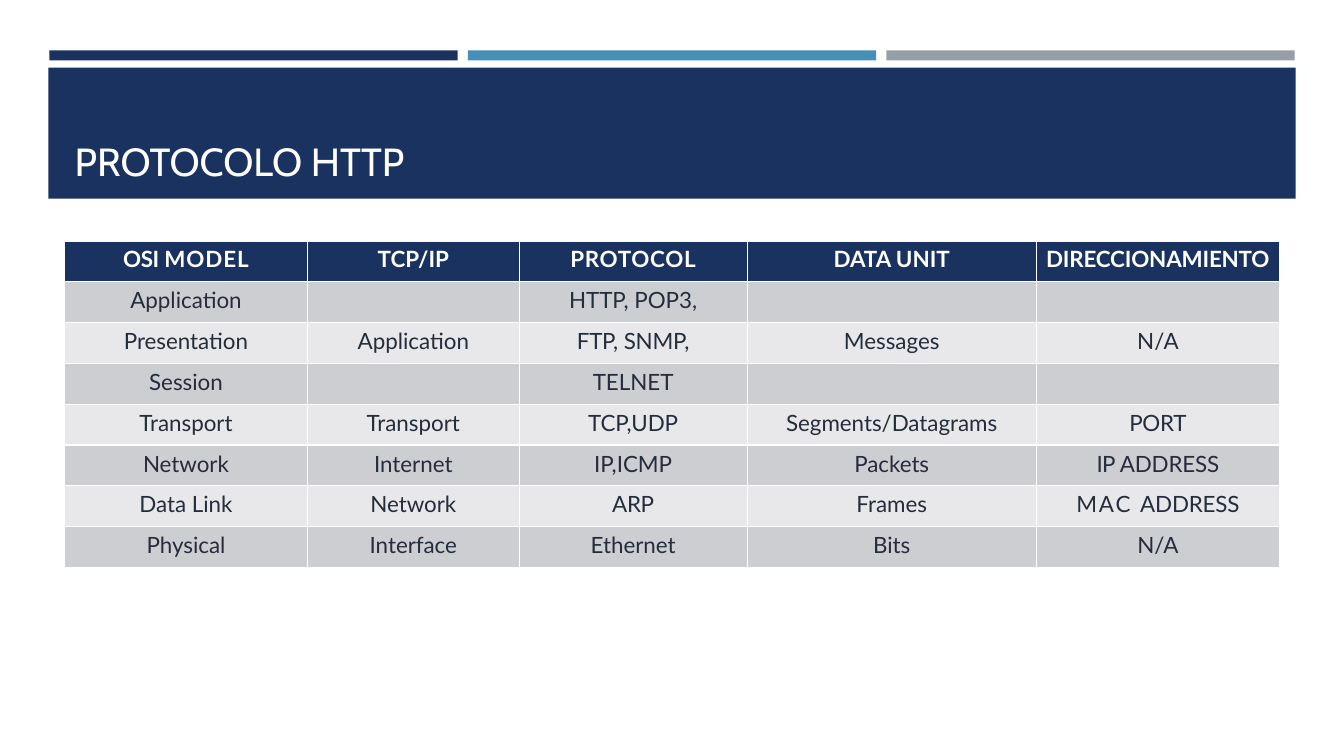
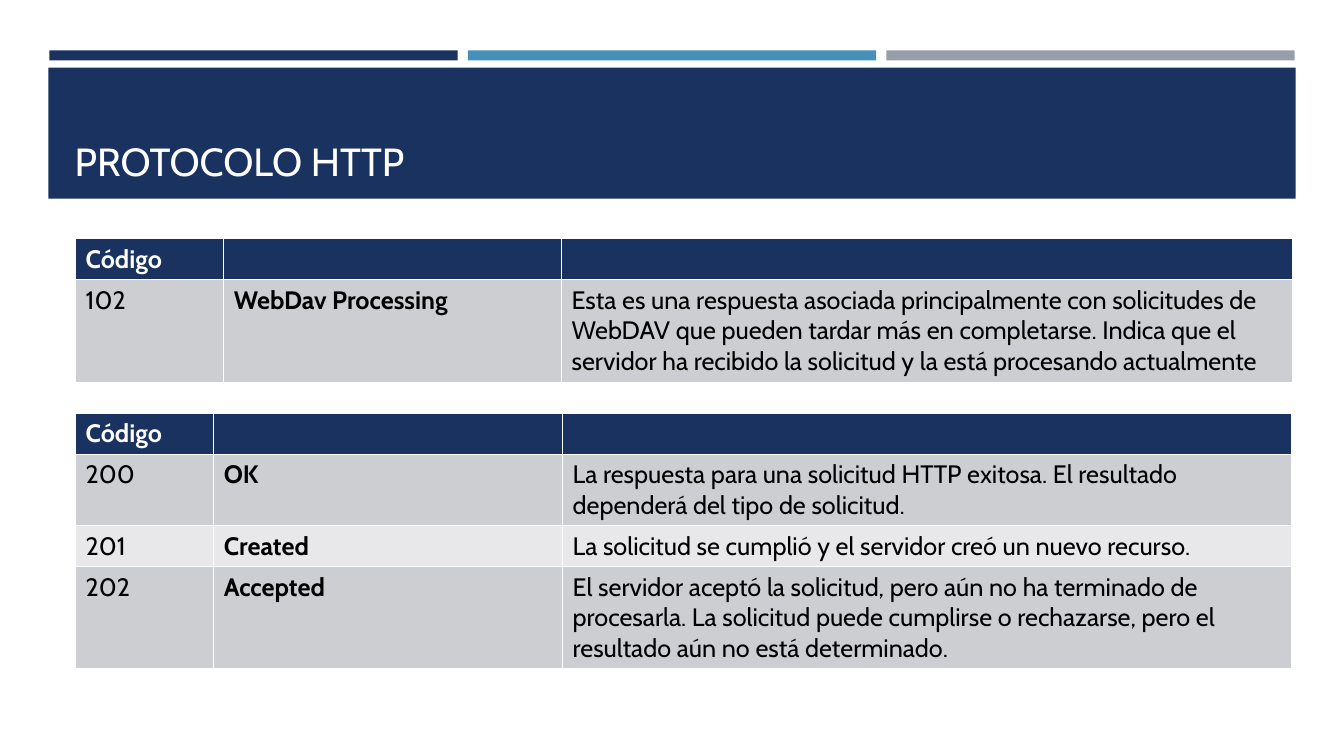
from pptx import Presentation
from pptx import util as u
from pptx.dml.color import RGBColor
from pptx.enum import shapes, text

NAVY, BLUE, GRAY = "1A3260", "4590B8", "969FA7"
DARK_ROW, LIGHT_ROW = "CDCED2", "E8E8EA"
WHITE, BLACK, SLATE = "FFFFFF", "000000", "232D3C"


def color(value):
    return RGBColor.from_string(value)


def style_font(font, name, size, value, bold=False):
    font.name = name
    font.size = u.Pt(size)
    font.bold = bold
    font.color.rgb = color(value)


class Deck:
    def __init__(self):
        self.presentation = Presentation()
        self.presentation.slide_width = u.Inches(13.33)
        self.presentation.slide_height = u.Inches(7.5)
        self.slide = None

    def band(self, left, top, width, height, fill):
        shape = self.slide.shapes.add_shape(
            shapes.MSO_SHAPE.RECTANGLE, *map(u.Inches, (left, top, width, height)))
        shape.fill.solid()
        shape.fill.fore_color.rgb = color(fill)
        shape.line.fill.background()
        shape.shadow.inherit = False

    def add_slide(self, heading):
        self.slide = self.presentation.slides.add_slide(self.presentation.slide_layouts[5])
        for index, fill in enumerate((NAVY, BLUE, GRAY)):
            self.band(0.49 + 4.15 * index, 0.5, 4.05, 0.1, fill)
        self.band(0.48, 0.67, 12.37, 1.3, NAVY)
        self.title(heading)

    def title(self, heading):
        title = self.slide.shapes.title
        title.left, title.top, title.width, title.height = map(
            u.Inches, (0.64, 0.77, 12.06, 1.11))
        self.slide.shapes._spTree.append(title._element)
        title.text_frame.text = heading
        title.text_frame.vertical_anchor = text.MSO_ANCHOR.BOTTOM
        paragraph = title.text_frame.paragraphs[0]
        paragraph.alignment = text.PP_ALIGN.LEFT
        style_font(paragraph.font, "Cabin", 28, WHITE)

    def table(self, left, top, widths, heights, rows, format_cell):
        frame = self.slide.shapes.add_table(
            len(rows), len(widths), *map(u.Inches, (left, top, sum(widths), sum(heights))))
        table = frame.table
        for column, width in zip(table.columns, widths):
            column.width = u.Inches(width)
        for row_index, (row, height) in enumerate(zip(rows, heights)):
            table.rows[row_index].height = u.Inches(height)
            fill = NAVY if row_index == 0 else (LIGHT_ROW, DARK_ROW)[row_index % 2]
            for column_index, content in enumerate(row):
                cell = table.cell(row_index, column_index)
                cell.fill.solid()
                cell.fill.fore_color.rgb = color(fill)
                if content:
                    self.cell_text(cell, content)
                    format_cell(cell, row_index == 0, column_index)

    def cell_text(self, cell, content):
        pieces = [(content, 0)] if isinstance(content, str) else content
        for wording, spacing in pieces:
            run = cell.text_frame.paragraphs[0].add_run()
            run.text = wording
            if spacing:
                run.font._element.set("spc", str(round(spacing * 100)))

    def layer_table(self, left, top, widths, heights, rows):
        def format_cell(cell, header, column_index):
            cell.margin_left = cell.margin_right = cell.margin_bottom = 0
            cell.margin_top = u.Inches(0.05)
            paragraph = cell.text_frame.paragraphs[0]
            paragraph.alignment = text.PP_ALIGN.CENTER
            paragraph.space_before = u.Pt(3.5)
            style_font(paragraph.font, "Lato", 16, WHITE if header else SLATE, header)

        self.table(left, top, widths, heights, rows, format_cell)

    def code_table(self, top, widths, heights, rows):
        def format_cell(cell, header, column_index):
            style_font(cell.text_frame.paragraphs[0].font, "Cabin", 18,
                       WHITE if header else BLACK, header or column_index == 1)

        self.table(0.75, top, widths, heights, [("Código", "", "")] + rows, format_cell)


LAYERS = [
    ([("OSI ", -0.3), ("MODEL", 0.7)], "TCP/IP", [("PROTOCOL", 0.5)], "DATA UNIT",
     [("DIRECCIONAMIENTO", -0.1)]),
    ("Application", "", "HTTP, POP3,", "", ""),
    ("Presentation", "Application", [("FTP, ", -0.2), ("SNMP,", -0.1)], "Messages",
     [("N/A", 0.2)]),
    ("Session", "", "TELNET", "", ""),
    ("Transport", "Transport", "TCP,UDP", "Segments/Datagrams", [("PORT", -0.2)]),
    ("Network", "Internet", "IP,ICMP", "Packets", [("IP ", -0.5), ("ADDRESS", -0.1)]),
    ("Data Link", "Network", [("ARP", -0.2)], "Frames", [("MAC ", 1.4), ("ADDRESS", -0.1)]),
    ("Physical", "Interface", "Ethernet", "Bits", "N/A"),
]

INFORMATION_CODES = [
    ("102", "WebDav Processing",
     "Esta es una respuesta asociada principalmente con solicitudes de WebDAV que pueden "
     "tardar más en completarse. Indica que el servidor ha recibido la solicitud y la está "
     "procesando actualmente"),
]

SUCCESS_CODES = [
    ("200", "OK",
     "La respuesta para una solicitud HTTP exitosa. El resultado dependerá del tipo de "
     "solicitud."),
    ("201", "Created", "La solicitud se cumplió y el servidor creó un nuevo recurso."),
    ("202", "Accepted",
     "El servidor aceptó la solicitud, pero aún no ha terminado de procesarla. La solicitud "
     "puede cumplirse o rechazarse, pero el resultado aún no está determinado."),
]


def main():
    deck = Deck()
    heading = "PROTOCOLO HTTP"

    deck.add_slide(heading)
    deck.layer_table(0.64, 2.39, (2.41, 2.1, 2.26, 2.87, 2.41),
                     [3.24 / len(LAYERS)] * len(LAYERS), LAYERS)

    deck.add_slide(heading)
    deck.code_table(2.37, (1.47, 3.35, 7.25), (0.4, 1.01), INFORMATION_CODES)
    deck.code_table(4.1, (1.37, 3.46, 7.23), (0.4, 0.7, 0.4, 1.01), SUCCESS_CODES)

    deck.presentation.save("out.pptx")


if __name__ == "__main__":
    main()
